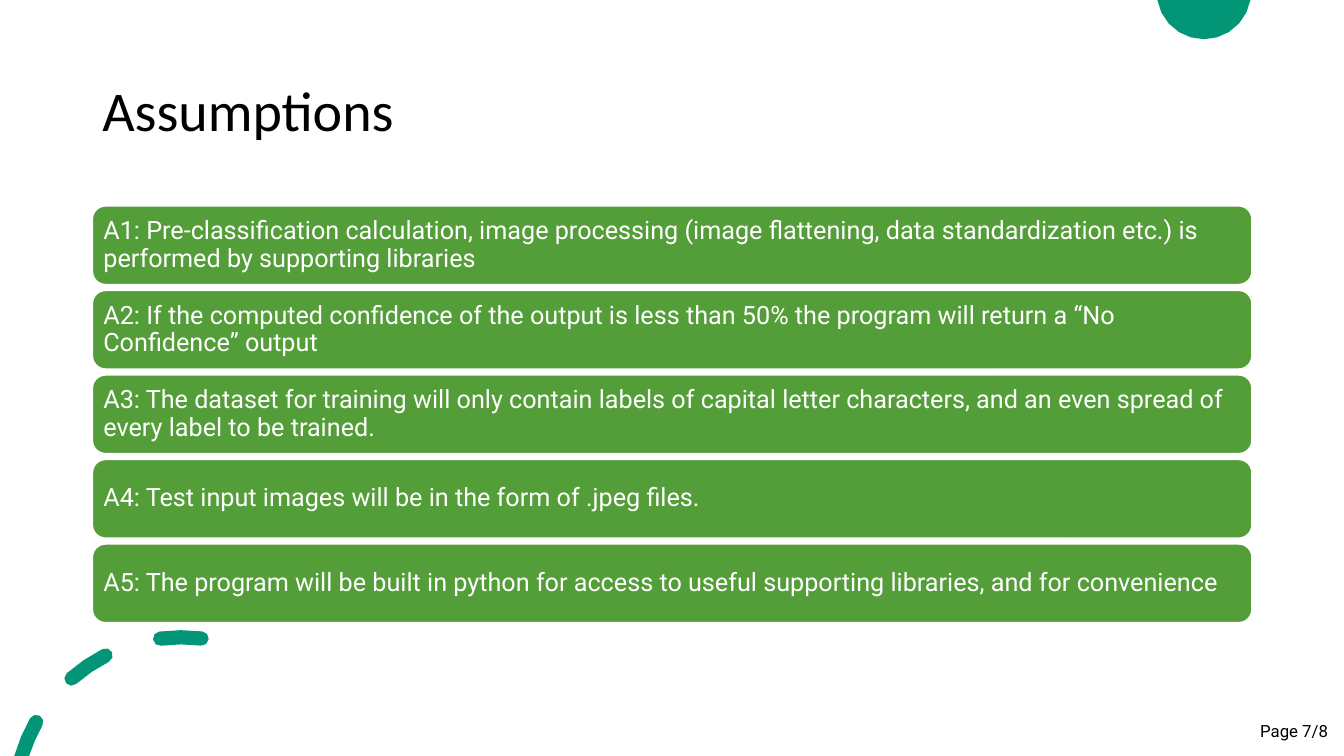
from math import acos, cos, degrees, radians, sin

from pptx import Presentation
from pptx.dml.color import RGBColor
from pptx.enum.shapes import MSO_SHAPE
from pptx.enum.text import MSO_ANCHOR, PP_ALIGN
from pptx.util import Cm, Pt

TITLE = "Assumptions"
PAGE = "Page 7/8"
CARDS = [
    "A1: Pre-classification calculation, image processing (image flattening, "
    "data standardization etc.) is performed by supporting libraries",
    "A2: If the computed confidence of the output is less than 50% the program "
    "will return a “No Confidence” output",
    "A3: The dataset for training will only contain labels of capital letter "
    "characters, and an even spread of every label to be trained.",
    "A4: Test input images will be in the form of .jpeg files.",
    "A5: The program will be built in python for access to useful supporting "
    "libraries, and for convenience",
]

THEME = {
    "teal": RGBColor(0x02, 0x96, 0x76),
    "green": RGBColor(0x54, 0x9E, 0x39),
    "white": RGBColor(0xFF, 0xFF, 0xFF),
    "black": RGBColor(0, 0, 0),
    "head": "Calibri",
    "body": "Roboto",
    "title": Pt(40),
    "card": Pt(18),
    "page": Pt(12),
}

# All lengths below are in centimetres, angles in degrees clockwise from up.
WIDE, HIGH = 33.87, 19.05
LEFT, SPAN = 2.33, 29.22
CARD_TOP, CARD_HIGH, PITCH, PAD = 5.19, 1.98, 2.13, 0.18
BALL, BALL_R = (30.34, -0.2), 1.19
RING, RING_R, HALF = (4.57, 20.26), 4.2, 0.18
DASHES = [(-41.2, -27), (-7.3, 7)]
LAST_END = -60.5  # upper end of the dash that runs off the slide


def polar(mid, r, angle):
    a = radians(angle)
    return mid[0] + r * sin(a), mid[1] - r * cos(a)


def arc(mid, r, start, end, steps=2):
    return [polar(mid, r, start + (end - start) * i / steps)
            for i in range(steps + 1)]


def cap(angle, turn):
    """Inner points of a dash's round end, from the ring angle plus turn."""
    mid = polar(RING, RING_R, angle)
    return arc(mid, HALF, angle + turn, angle + turn + 180, 4)[1:-1]


def dash(start, end):
    return (arc(RING, RING_R + HALF, start, end) + cap(end, 0)
            + arc(RING, RING_R - HALF, end, start) + cap(start, 180))


def cut_dash(end):
    """Dash cut flat by the bottom edge of the slide."""
    outer, inner = RING_R + HALF, RING_R - HALF
    rise = RING[1] - HIGH
    return (arc(RING, outer, -degrees(acos(rise / outer)), end) + cap(end, 0)
            + arc(RING, inner, end, -degrees(acos(rise / inner))))


def draw(slide, loops):
    loops = [[(Cm(x), Cm(y)) for x, y in loop] for loop in loops]
    pen = slide.shapes.build_freeform(*loops[0][0], scale=1.0)
    for i, loop in enumerate(loops):
        if i:
            pen.move_to(*loop[0])
        pen.add_line_segments(loop[1:], close=True)
    shape = pen.convert_to_shape()
    shape.shadow.inherit = False
    shape.fill.solid()
    shape.fill.fore_color.rgb = THEME["teal"]
    shape.line.fill.background()


def write(shape, text, font, size, color, align=PP_ALIGN.LEFT, lead=None):
    frame = shape.text_frame
    frame.word_wrap = True
    frame.vertical_anchor = MSO_ANCHOR.MIDDLE
    para = frame.paragraphs[0]
    para.alignment = align
    para.line_spacing = lead
    run = para.add_run()
    run.text = text
    run.font.name = THEME[font]
    run.font.size = THEME[size]
    run.font.color.rgb = THEME[color]
    return frame


def add_card(slide, row, text):
    card = slide.shapes.add_shape(
        MSO_SHAPE.ROUNDED_RECTANGLE,
        Cm(LEFT), Cm(CARD_TOP + row * PITCH), Cm(SPAN), Cm(CARD_HIGH))
    card.shadow.inherit = False
    card.fill.solid()
    card.fill.fore_color.rgb = THEME["green"]
    card.line.color.rgb = THEME["white"]
    card.line.width = Pt(1)
    frame = write(card, text, "body", "card", "white", lead=0.9)
    frame.margin_left = frame.margin_right = Cm(PAD)
    frame.margin_top = frame.margin_bottom = Cm(PAD)


def main():
    deck = Presentation()
    deck.slide_width, deck.slide_height = Cm(WIDE), Cm(HIGH)
    slide = deck.slides.add_slide(deck.slide_layouts[6])

    edge = degrees(acos(BALL[1] / BALL_R))
    draw(slide, [arc(BALL, BALL_R, edge, 360 - edge, 10)])
    draw(slide, [cut_dash(LAST_END)] + [dash(*ends) for ends in DASHES])

    title = slide.shapes.add_textbox(Cm(LEFT), Cm(1.02), Cm(SPAN), Cm(3.68))
    write(title, TITLE, "head", "title", "black", lead=0.9)
    for row, text in enumerate(CARDS):
        add_card(slide, row, text)
    page = slide.shapes.add_textbox(Cm(26.1), Cm(17.91), Cm(7.62), Cm(1.02))
    write(page, PAGE, "body", "page", "black", PP_ALIGN.RIGHT)

    deck.save("out.pptx")


if __name__ == "__main__":
    main()
